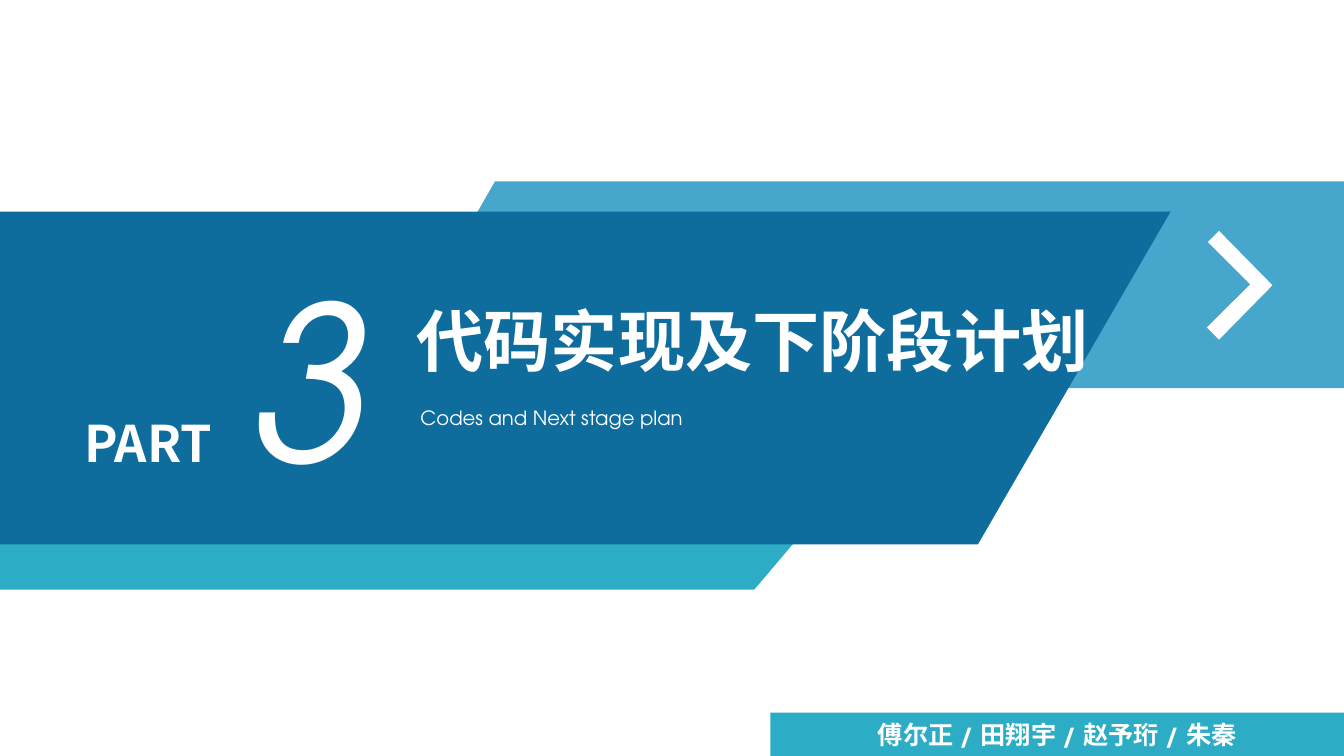
from pptx import Presentation
from pptx.dml.color import RGBColor
from pptx.enum.shapes import MSO_SHAPE
from pptx.enum.text import MSO_ANCHOR, PP_ALIGN
from pptx.oxml.ns import qn
from pptx.util import Inches, Pt
from lxml import etree

RECT = MSO_SHAPE.RECTANGLE
LEFT, CENTER = PP_ALIGN.LEFT, PP_ALIGN.CENTER
TOP, MIDDLE = MSO_ANCHOR.TOP, MSO_ANCHOR.MIDDLE

# Content
WIDTH, HEIGHT = 13.33, 7.5
TITLE = "代码实现及下阶段计划"
SUBTITLE = "Codes and Next stage plan"
AUTHORS = ["傅尔正", "田翔宇", "赵予珩", "朱秦"]
COLORS = {"sky": "46A6CC", "teal": "2CACC5", "navy": "0F6D9E", "white": "FFFFFF"}
CJK, LATIN = "Noto Sans CJK SC", "TeX Gyre Adventor"

# Outlines from back to front: colour and corner points
OUTLINES = [
    ("sky", [(4.91, 1.8), (WIDTH, 1.8), (WIDTH, 3.85), (3.73, 3.85)]),
    ("teal", [(0, 3.8), (9.22, 3.8), (7.48, 5.85), (0, 5.85)]),
    ("navy", [(0, 2.1), (11.61, 2.1), (9.7, 5.4), (0, 5.4)]),
    ("white", [(12.09, 2.29), (12.62, 2.83), (12.09, 3.37),
               (11.97, 3.25), (12.4, 2.82), (11.98, 2.4)]),
]


def paint(sp, color):
    sp.fill.solid()
    sp.fill.fore_color.rgb = RGBColor.from_string(COLORS[color])
    sp.line.fill.background()
    sp.shadow.inherit = False


def place(sp, box):
    sp.left, sp.top, sp.width, sp.height = map(Inches, box)


def write(sp, text, size, font=LATIN, bold=False, italic=False, align=LEFT,
          anchor=TOP, insets=(0.1, 0.05), wrap=True, spacing=1.0):
    tf = sp.text_frame
    tf.word_wrap = wrap
    tf.vertical_anchor = anchor
    tf.margin_left = tf.margin_right = Inches(insets[0])
    tf.margin_top = tf.margin_bottom = Inches(insets[1])
    p = tf.paragraphs[0]
    p.alignment = align
    p.line_spacing = spacing
    p.space_before = Pt(0)
    r = p.add_run()
    r.text = text
    r.font.name, r.font.size = font, Pt(size)
    r.font.bold, r.font.italic = bold, italic
    r.font.color.rgb = RGBColor.from_string(COLORS["white"])
    latin = r.font._element.find(qn("a:latin"))
    ea = etree.Element(qn("a:ea"), typeface=CJK)
    latin.addnext(ea)


prs = Presentation()
prs.slide_width, prs.slide_height = Inches(WIDTH), Inches(HEIGHT)
slide = prs.slides.add_slide(prs.slide_layouts[0])
shapes = slide.shapes
title, subtitle = slide.placeholders

# Slanted bands and chevron
for color, points in OUTLINES:
    start, *rest = [(Inches(x), Inches(y)) for x, y in points]
    builder = shapes.build_freeform(*start)
    builder.add_line_segments(rest, close=True)
    paint(builder.convert_to_shape(), color)

# Part label and number
part = shapes.add_textbox(*map(Inches, (0.71, 4.04, 1.52, 0.71)))
write(part, "PART", 36, font=CJK, bold=True, align=CENTER)
number = shapes.add_textbox(*map(Inches, (1.85, 2.41, 2.44, 2.68)))
write(number, "3", 153.3, italic=True, align=CENTER)

# Title and subtitle, brought in front of the bands
place(title, (4.03, 2.92, 6.93, 0.91))
write(title, TITLE, 48, bold=True, wrap=False)
place(subtitle, (4.03, 3.95, 5.81, 0.33))
write(subtitle, SUBTITLE, 14, insets=(0.14, 0.04), spacing=1.14)
for sp in (title, subtitle):
    shapes._spTree.append(sp._element)

# Author bar in the bottom right corner
bar_w, bar_h = 5.69, 0.43
bar = shapes.add_shape(RECT, *map(Inches, (WIDTH - bar_w, HEIGHT - bar_h, bar_w, bar_h)))
paint(bar, "teal")
write(bar, " / ".join(AUTHORS), 18, bold=True, align=CENTER, anchor=MIDDLE, insets=(0, 0))

prs.save("out.pptx")
